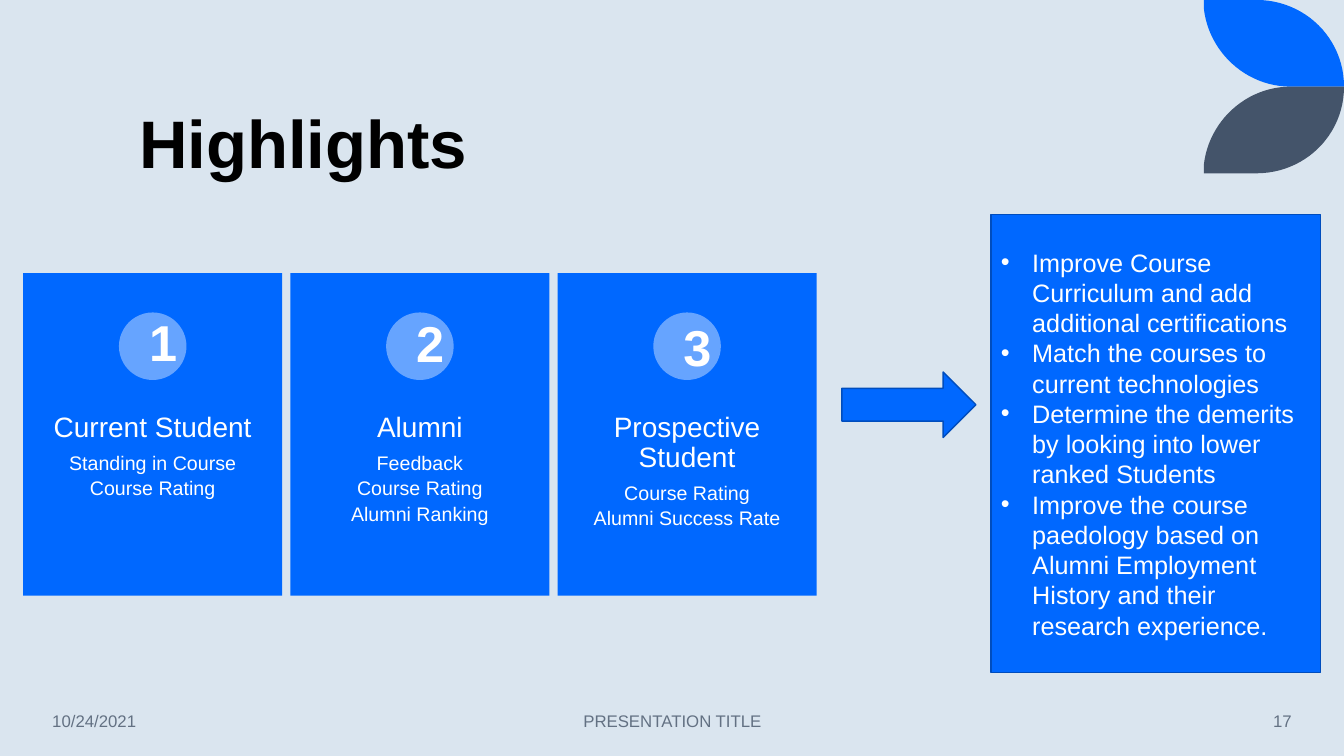
from lxml.etree import SubElement
from pptx import Presentation
from pptx.dml.color import RGBColor
from pptx.enum.shapes import MSO_SHAPE as Kind
from pptx.enum.text import MSO_ANCHOR as Anchor, MSO_AUTO_SIZE as Fit, PP_ALIGN as Align
from pptx.oxml.ns import qn
from pptx.util import Inches, Pt

WIDE, HIGH = 13.33, 7.5
BLUE = RGBColor(0x00, 0x68, 0xFF)
EDGE = RGBColor(0x00, 0x4D, 0xBD)
PALE = RGBColor(0x66, 0xA4, 0xFF)
SLATE = RGBColor(0x44, 0x54, 0x6A)
GREY = RGBColor(0x63, 0x71, 0x83)
MIST = RGBColor(0xDA, 0xE5, 0xEF)
WHITE = RGBColor(0xFF, 0xFF, 0xFF)
BLACK = RGBColor(0, 0, 0)
FONT = "Arial"

CARDS = [
    ("Current Student", ["Standing in Course", "Course Rating"], 0.33),
    ("Alumni", ["Feedback", "Course Rating", "Alumni Ranking"], 0.34),
    ("Prospective Student", ["Course Rating", "Alumni Success Rate"], 0.38),
]
GOALS = [
    "Improve Course Curriculum and add additional certifications",
    "Match the courses to current technologies",
    "Determine the demerits by looking into lower ranked Students",
    "Improve the course paedology based on Alumni Employment History "
    "and their research experience.",
]
FOOT = [
    ("10/24/2021", 0.42, 1.86, Align.LEFT),
    ("PRESENTATION TITLE", 4.42, 4.5, Align.CENTER),
    ("17", 11.1, 1.81, Align.RIGHT),
]


def style(para, size, color, align, bold=False):
    para.alignment = align
    for run in para.runs:
        font = run.font
        font.name, font.size, font.bold = FONT, Pt(size), bold
        font.color.rgb = color


def paint(shape, fill, edge=None):
    shape.shadow.inherit = False
    shape.fill.solid()
    shape.fill.fore_color.rgb = fill
    if edge is None:
        shape.line.fill.background()
    else:
        shape.line.color.rgb = edge
        shape.line.width = Pt(1)


def add_form(slide, kind, box, fill, edge=None):
    shape = slide.shapes.add_shape(kind, *map(Inches, box))
    paint(shape, fill, edge)
    return shape


def add_text(slide, box, lines, size, color, align, bold=False, anchor=Anchor.TOP):
    frame = slide.shapes.add_textbox(*map(Inches, box)).text_frame
    frame.word_wrap = True
    frame.vertical_anchor = anchor
    frame.text = "\n".join(lines)
    for para in frame.paragraphs:
        style(para, size, color, align, bold)
    return frame


def curve(start, pull, push, end, steps=24):
    for step in range(1, steps + 1):
        t = step / steps
        u = 1 - t
        yield tuple(u**3 * a + 3 * u * u * t * b + 3 * u * t * t * c + t**3 * d
                    for a, b, c, d in zip(start, pull, push, end))


def add_leaves(slide, box):
    left, top, width, height = box
    half = height / 2
    edge = [(0, 0), (0.375, 0)]
    edge += curve((0.375, 0), (0.72, 0), (1, 0.44), (1, 1))
    edge += [(0.62, 1)]
    edge += curve((0.62, 1), (0.3, 1), (0.035, 0.6), (0, 0.1))
    for color, base, sign in ((BLUE, top, 1), (SLATE, top + height, -1)):
        spots = [(Inches(left + x * width), Inches(base + sign * y * half)) for x, y in edge]
        pen = slide.shapes.build_freeform(*spots[0])
        pen.add_line_segments(spots[1:], close=True)
        paint(pen.convert_to_shape(), color)


def add_title(slide, box, text):
    title = slide.shapes.title
    title.left, title.top, title.width, title.height = map(Inches, box)
    frame = title.text_frame
    frame.text = text
    frame.word_wrap = True
    frame.auto_size = Fit.NONE
    frame.vertical_anchor = Anchor.BOTTOM
    para = frame.paragraphs[0]
    para.line_spacing = 0.9
    style(para, 48, BLACK, Align.LEFT, True)


def add_card(slide, box, number, head, lines, drop):
    left, top, width, height = box
    disc = 0.67
    add_form(slide, Kind.RECTANGLE, box, BLUE)
    add_form(slide, Kind.OVAL, (left + (width - disc) / 2, top + 0.39, disc, disc), PALE)
    area = (left, top + 0.4 * height, width, 0.4 * height)
    frame = add_text(slide, area, [head, *lines], 14, WHITE, Align.CENTER)
    frame.margin_left = frame.margin_right = Inches(0.11)
    frame.margin_top = frame.margin_bottom = Inches(0.11)
    for para in frame.paragraphs:
        para.line_spacing = 0.9
        para.space_after = Pt(3)
    first = frame.paragraphs[0]
    first.space_after = Pt(7)
    style(first, 20, WHITE, Align.CENTER)
    spot = (left + 1.15, top + drop, 0.28, 0.71)
    add_text(slide, spot, [str(number)], 36, WHITE, Align.CENTER, True)


def add_cards(slide, box):
    left, top, width, height = box
    gap = 0.08
    wide = (width - gap * (len(CARDS) - 1)) / len(CARDS)
    for index, card in enumerate(CARDS):
        cell = (left + index * (wide + gap), top, wide, height)
        add_card(slide, cell, index + 1, *card)


def add_goals(slide, box):
    panel = add_form(slide, Kind.RECTANGLE, box, BLUE, EDGE)
    frame = panel.text_frame
    frame.word_wrap = True
    frame.vertical_anchor = Anchor.MIDDLE
    frame.text = "\n".join(GOALS)
    for para in frame.paragraphs:
        style(para, 18, WHITE, Align.LEFT)
        props = para._p.get_or_add_pPr()
        props.set("marL", str(Inches(0.31)))
        props.set("indent", str(-Inches(0.31)))
        SubElement(props, qn("a:buFont")).set("typeface", FONT)
        SubElement(props, qn("a:buChar")).set("char", "•")


def add_foot(slide, top, height):
    for text, left, width, align in FOOT:
        add_text(slide, (left, top, width, height), [text], 12, GREY, align,
                 anchor=Anchor.MIDDLE)


def main():
    deck = Presentation()
    deck.slide_width, deck.slide_height = Inches(WIDE), Inches(HIGH)
    slide = deck.slides.add_slide(deck.slide_layouts[5])
    back = slide.background.fill
    back.solid()
    back.fore_color.rgb = MIST
    add_leaves(slide, (WIDE - 1.39, 0, 1.39, 1.72))
    add_title(slide, (1.28, 0.42, 10.69, 1.45), "Highlights")
    add_cards(slide, (0.23, 2.71, 7.87, 3.2))
    add_form(slide, Kind.RIGHT_ARROW, (8.35, 3.69, 1.33, 0.65), BLUE, EDGE)
    add_goals(slide, (9.83, 2.13, 3.27, 4.54))
    add_foot(slide, 6.95, 0.4)
    deck.save("out.pptx")


if __name__ == "__main__":
    main()
